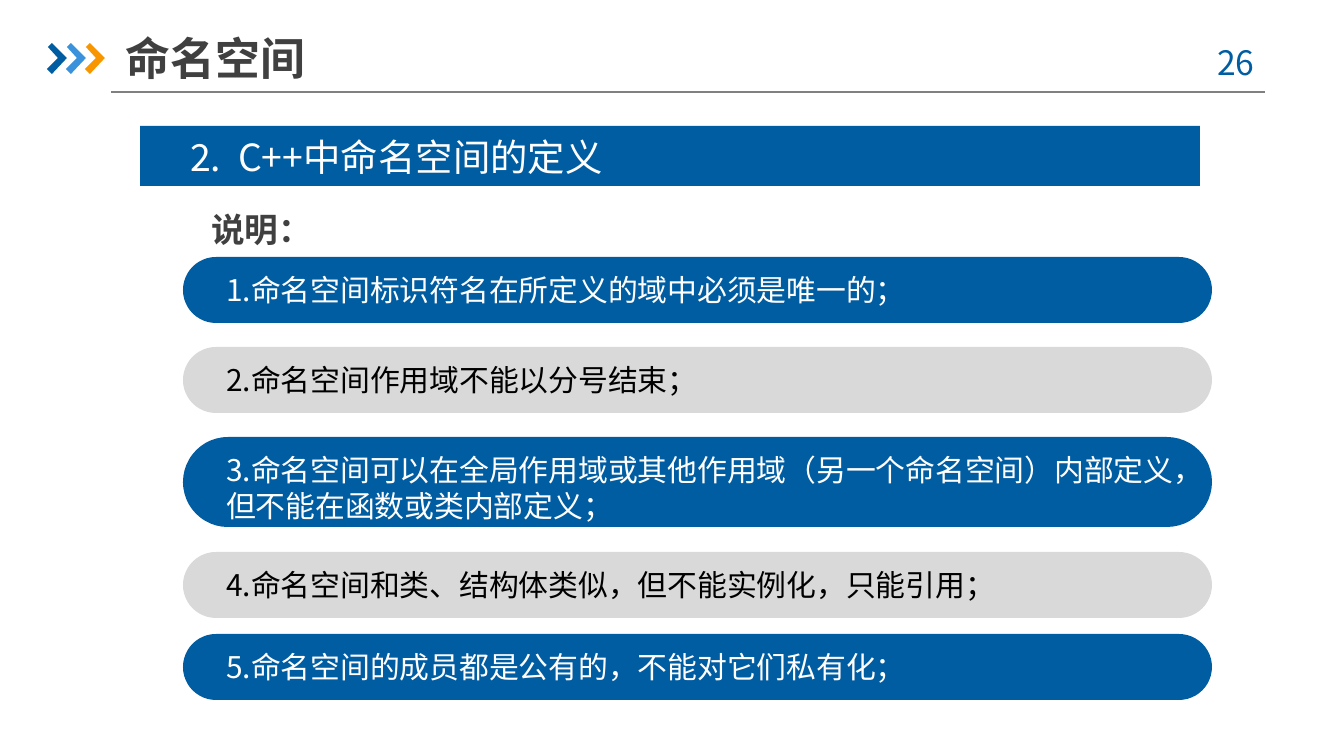
from lxml.etree import SubElement
from pptx import Presentation
from pptx.dml.color import RGBColor
from pptx.enum.shapes import MSO_CONNECTOR as CONN, MSO_SHAPE as SHAPE
from pptx.enum.text import MSO_ANCHOR as ANCHOR, PP_ALIGN as ALIGN
from pptx.oxml.ns import qn
from pptx.util import Emu, Pt

TITLE = "命名空间"
PAGE = "26"
HEADING = "2.  C++中命名空间的定义"
LABEL = "说明："
NOTES = [
    (257, 66, "1.命名空间标识符名在所定义的域中必须是唯一的；"),
    (347, 66, "2.命名空间作用域不能以分号结束；"),
    (437, 90, "3.命名空间可以在全局作用域或其他作用域（另一个命名空间）内部定义，但不能在函数或类内部定义；"),
    (552, 66, "4.命名空间和类、结构体类似，但不能实例化，只能引用；"),
    (634, 66, "5.命名空间的成员都是公有的，不能对它们私有化；"),
]
COLORS = {
    "blue": "005DA2", "sky": "3992DB", "orange": "F79600", "rule": "808080",
    "dark": "404040", "pale": "D9D9D9", "white": "FFFFFF", "black": "000000",
}
NOTE_STYLES = [("blue", "white"), ("pale", "black")]
CHEVRON = [(48, 47), (52, 43), (67, 58), (52, 74), (47, 69), (58, 58)]
CHEVRON_STEP = 19
FONT = "Noto Sans CJK SC"
SCALE = 914400 / 134.4


def px(n):
    return Emu(round(n * SCALE))


def rgb(name):
    return RGBColor.from_string(COLORS[name])


def paint(sp, color):
    sp.shadow.inherit = False
    sp.fill.solid()
    sp.fill.fore_color.rgb = rgb(color)
    sp.line.fill.background()


def add_bar(s, kind, box, color):
    sp = s.shapes.add_shape(kind, *map(px, box))
    paint(sp, color)
    return sp


def add_text(s, box, text, size, color, bold=False, align=ALIGN.LEFT, **frame):
    tf = s.shapes.add_textbox(*map(px, box)).text_frame
    for name, value in {"word_wrap": True, **frame}.items():
        setattr(tf, name, value)
    p = tf.paragraphs[0]
    p.alignment = align
    r = p.add_run()
    r.text = text
    for name, value in {"name": FONT, "size": Pt(size), "bold": bold}.items():
        setattr(r.font, name, value)
    r.font.color.rgb = rgb(color)
    SubElement(r.font._element, qn("a:ea"), typeface=FONT)


prs = Presentation()
prs.slide_width, prs.slide_height = px(1344), px(756)
s = prs.slides.add_slide(prs.slide_layouts[6])

rule = s.shapes.add_connector(CONN.STRAIGHT, px(111), px(92), px(1265), px(92))
rule.line.color.rgb = rgb("rule")
rule.line.width = Pt(0.75)
SubElement(rule._element.spPr, qn("a:effectLst"))

for i, color in enumerate(("blue", "sky", "orange")):
    points = [(x + i * CHEVRON_STEP, y) for x, y in CHEVRON]
    outline = s.shapes.build_freeform(*points[0], scale=SCALE)
    outline.add_line_segments(points[1:], close=True)
    paint(outline.convert_to_shape(), color)

add_text(s, (1187, 35, 98, 54), PAGE, 18, "blue", align=ALIGN.CENTER)
add_text(s, (126, 30, 630, 56), TITLE, 24, "dark", bold=True,
         vertical_anchor=ANCHOR.MIDDLE, margin_left=0, margin_right=0)
add_bar(s, SHAPE.RECTANGLE, (140, 126, 1060, 60), "blue")
add_text(s, (177, 128, 493, 59), HEADING, 20, "white")
add_text(s, (198, 202, 128, 54), LABEL, 18, "dark", bold=True, word_wrap=False)

for i, (top, height, text) in enumerate(NOTES):
    fill, ink = NOTE_STYLES[i % 2]
    pill = add_bar(s, SHAPE.ROUNDED_RECTANGLE, (183, top, 1029, height), fill)
    pill.adjustments[0] = 0.5
    add_text(s, (213, top + 8, 987, height - 16), text, 16, ink)

prs.save("out.pptx")
